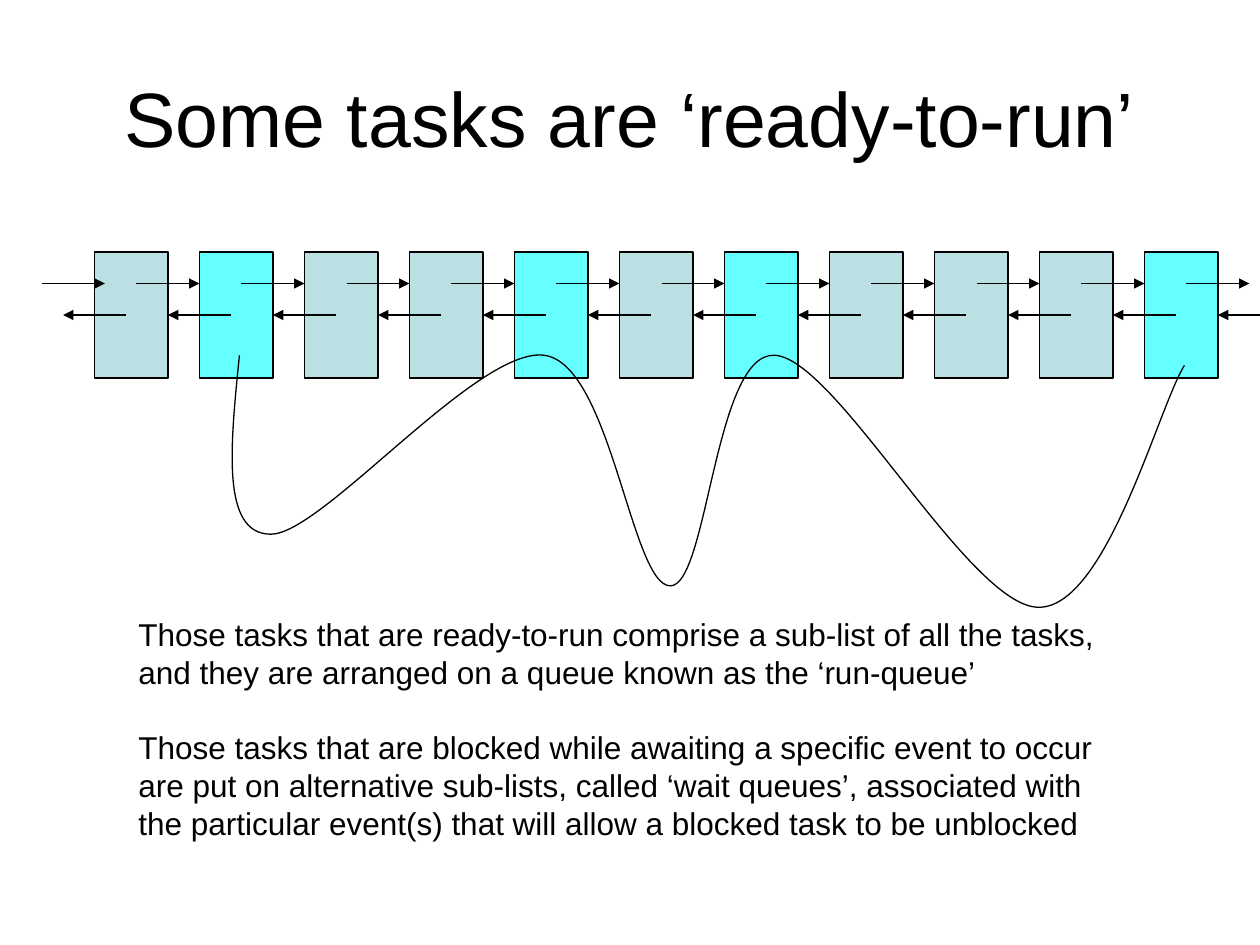
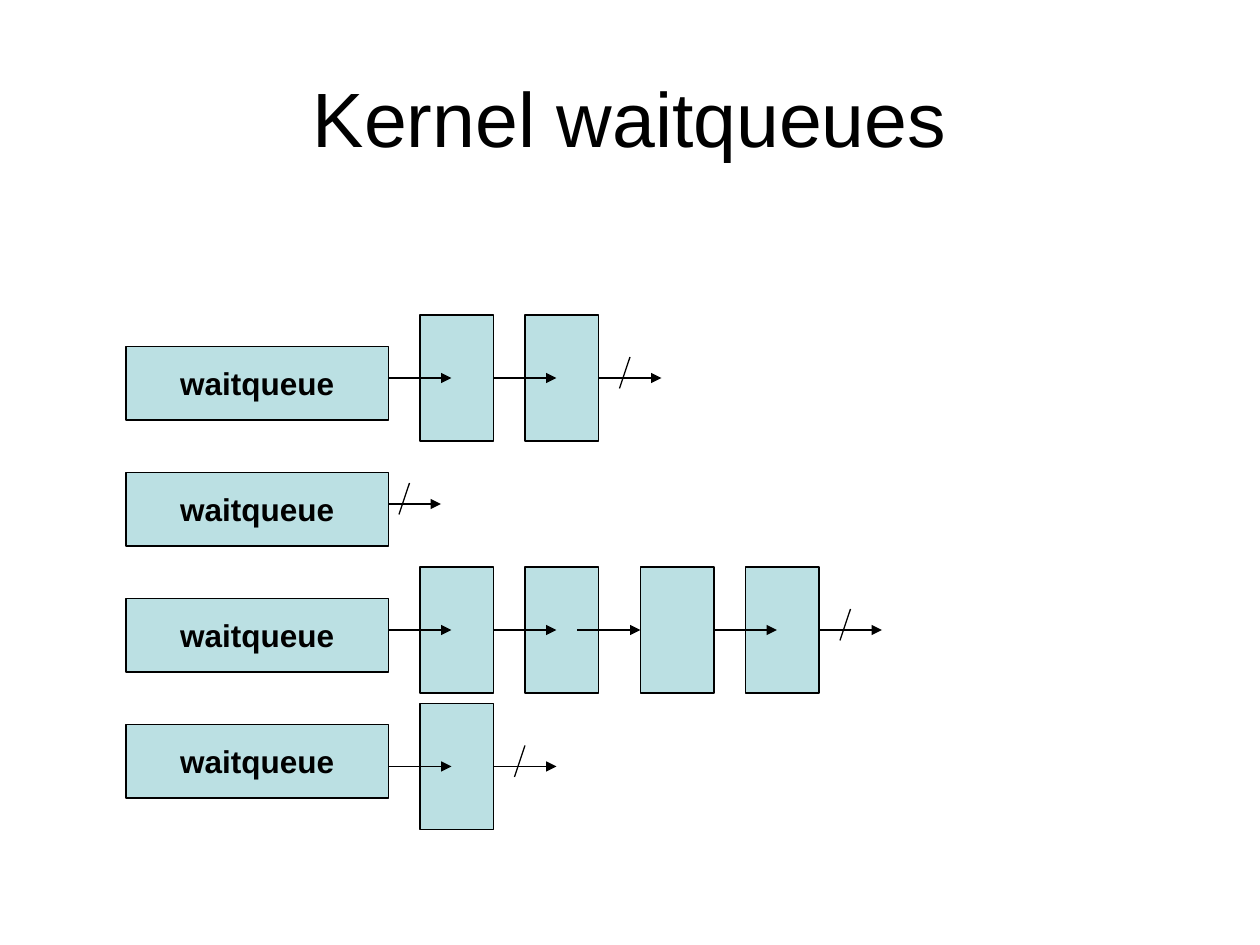
from dataclasses import dataclass

import pptx
import pptx.dml.color
import pptx.enum.shapes
import pptx.enum.text
import pptx.oxml.ns
import pptx.presentation
import pptx.slide
import pptx.text.text
import pptx.util
from lxml import etree
from pptx.util import Inches

FONT = "Arial"
COLORS = {"ink": "000000", "task": "BBE0E3", "ready": "66FFFF", "page": "FFFFFF"}
LINE_PT = 0.75

# Boxes and arrows sit on a grid of twelfths of an inch.
GRID = 12
TASK_W, TASK_H, LABEL_W, LABEL_H = 7, 12, 25, 7

# Task list, in grid units
COUNT, PITCH, LEFT, TOP = 11, 10, 9, 24
READY = {1, 4, 6, 10}

# Curve through the ready tasks, in inches
START = (1.9, 2.82)
CURVES = [
    ((1.83, 3.53), (1.75, 4.24), (2.15, 4.24)),
    ((2.56, 4.24), (3.79, 2.75), (4.32, 2.82)),
    ((4.85, 2.89), (5.01, 4.65), (5.32, 4.65)),
    ((5.62, 4.65), (5.67, 2.79), (6.15, 2.82)),
    ((6.64, 2.85), (7.69, 4.81), (8.24, 4.82)),
    ((8.78, 4.83), (9.19, 3.24), (9.4, 2.9)),
]
NOTES = [
    [
        "Those tasks that are ready-to-run comprise a sub-list of all the tasks,",
        "and they are arranged on a queue known as the ‘run-queue’",
    ],
    [
        "Those tasks that are blocked while awaiting a specific event to occur",
        "are put on alternative sub-lists, called ‘wait queues’, associated with",
        "the particular event(s) that will allow a blocked task to be unblocked",
    ],
]

Point = tuple[float, float]


@dataclass
class Queue:
    """A wait queue, in grid units."""
    top: int
    mid: int
    tasks: list[int]
    links: list[int]
    reach: int = 6


QUEUES = [
    Queue(33, 36, [40, 50], [37, 47, 57]),
    Queue(45, 48, [], [37], 5),
    Queue(57, 60, [40, 50, 61, 71], [37, 47, 55, 68, 78]),
    Queue(69, 73, [40], [37, 47]),
]


def place(*units: float) -> list[pptx.util.Length]:
    """Turn grid units into lengths."""
    return [Inches(unit / GRID) for unit in units]


def shade(name: str) -> pptx.dml.color.RGBColor:
    return pptx.dml.color.RGBColor.from_string(COLORS[name])


def style(par: pptx.text.text._Paragraph, size: float, bold: bool = False) -> None:
    for run in par.runs:
        run.font.name = FONT
        run.font.size = pptx.util.Pt(size)
        run.font.bold = bold
        run.font.color.rgb = shade("ink")


def ink(shape) -> None:
    shape.line.color.rgb = shade("ink")
    shape.line.width = pptx.util.Pt(LINE_PT)


def add_page(prs: pptx.presentation.Presentation, text: str) -> pptx.slide.Slide:
    page = prs.slides.add_slide(prs.slide_layouts[5])
    page.background.fill.solid()
    page.background.fill.fore_color.rgb = shade("page")
    title = page.shapes.title
    title.left, title.top = Inches(0.5), Inches(0.3)
    title.width, title.height = Inches(9), Inches(1.25)
    title.text_frame.text = text
    title.text_frame.vertical_anchor = pptx.enum.text.MSO_ANCHOR.MIDDLE
    par = title.text_frame.paragraphs[0]
    par.alignment = pptx.enum.text.PP_ALIGN.CENTER
    style(par, 44)
    return page


def add_box(page: pptx.slide.Slide, left: float, top: float, width: float = TASK_W,
            height: float = TASK_H, fill: str = "task", text: str = "") -> None:
    box = page.shapes.add_shape(
        pptx.enum.shapes.MSO_SHAPE.RECTANGLE, *place(left, top, width, height))
    box.shadow.inherit = False
    box.fill.solid()
    box.fill.fore_color.rgb = shade(fill)
    ink(box)
    if text:
        box.text_frame.text = text
        box.text_frame.word_wrap = False
        par = box.text_frame.paragraphs[0]
        par.alignment = pptx.enum.text.PP_ALIGN.CENTER
        style(par, 18, bold=True)


def add_line(page: pptx.slide.Slide, start: Point, end: Point,
             arrow: bool = True) -> None:
    line = page.shapes.add_connector(
        pptx.enum.shapes.MSO_CONNECTOR.STRAIGHT, *place(*start, *end))
    ink(line)
    props = line._element.spPr
    if arrow:
        stroke = props.find(pptx.oxml.ns.qn("a:ln"))
        etree.SubElement(stroke, pptx.oxml.ns.qn("a:tailEnd"), type="triangle")
    etree.SubElement(props, pptx.oxml.ns.qn("a:effectLst"))


def add_thread(page: pptx.slide.Slide) -> None:
    """Join the ready tasks: lay the points, then bend each three into a curve."""
    pen = page.shapes.build_freeform(*(Inches(value) for value in START))
    pen.add_line_segments(
        [(Inches(x), Inches(y)) for curve in CURVES for x, y in curve], close=False)
    thread = pen.convert_to_shape()
    thread.shadow.inherit = False
    thread.fill.background()
    ink(thread)
    track = next(thread._element.iter(pptx.oxml.ns.qn("a:path")))
    legs = track.findall(pptx.oxml.ns.qn("a:lnTo"))
    for i in range(0, len(legs), 3):
        bend = etree.SubElement(track, pptx.oxml.ns.qn("a:cubicBezTo"))
        for leg in legs[i:i + 3]:
            bend.append(leg[0])
            track.remove(leg)


def add_notes(page: pptx.slide.Slide) -> None:
    """Write the text below the task list, one paragraph a line."""
    box = page.shapes.add_textbox(Inches(1), Inches(4.83), Inches(7.85), Inches(1.9))
    frame = box.text_frame
    frame.word_wrap = False
    frame.text = "\n".join(line for group in NOTES for line in group)
    pitch = pptx.util.Pt(21.6)
    for par in frame.paragraphs:
        par.line_spacing = pitch
        style(par, 18)
    frame.paragraphs[len(NOTES[0])].space_before = pitch


def draw_tasks(prs: pptx.presentation.Presentation) -> None:
    page = add_page(prs, "Some tasks are ‘ready-to-run’")
    spots = [LEFT + i * PITCH for i in range(COUNT + 1)]
    for i, left in enumerate(spots[:COUNT]):
        add_box(page, left, TOP, fill="ready" if i in READY else "task")
    ahead, back = TOP + 3, TOP + 6
    for start in [4] + [left + 4 for left in spots[:COUNT]]:
        add_line(page, (start, ahead), (start + 6, ahead))
    for left in spots:
        add_line(page, (min(left + 3, 10 * GRID), back), (left - 3, back))
    add_thread(page)
    add_notes(page)


def draw_queues(prs: pptx.presentation.Presentation) -> None:
    page = add_page(prs, "Kernel waitqueues")
    for queue in QUEUES:
        mid = queue.mid
        add_box(page, GRID, queue.top, LABEL_W, LABEL_H, text="waitqueue")
        for left in queue.tasks:
            add_box(page, left, mid - TASK_H / 2)
        for left in queue.links:
            add_line(page, (left, mid), (left + queue.reach, mid))
        slash = queue.links[-1] + queue.reach - 3
        add_line(page, (slash, mid - 2), (slash - 1, mid + 1), arrow=False)


def main() -> None:
    prs = pptx.Presentation()
    prs.slide_width, prs.slide_height = Inches(10), Inches(7.5)
    draw_tasks(prs)
    draw_queues(prs)
    prs.save("out.pptx")


if __name__ == "__main__":
    main()
